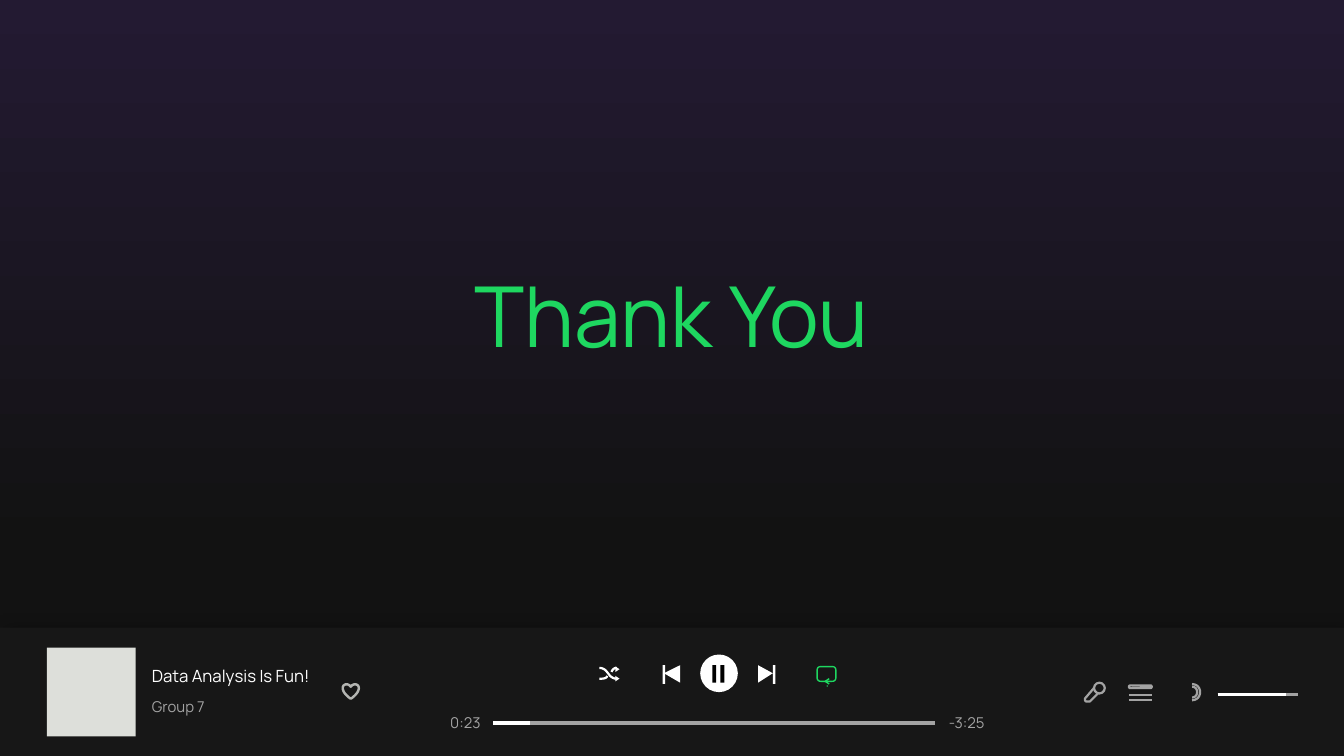
from lxml.etree import SubElement
from pptx import Presentation
from pptx.dml.color import RGBColor
from pptx.enum.shapes import MSO_CONNECTOR, MSO_SHAPE
from pptx.enum.text import MSO_AUTO_SIZE, PP_ALIGN
from pptx.oxml.ns import qn
from pptx.util import Inches, Pt

WHITE, GREY, GREEN, HEART = "FFFFFF", "A3A3A3", "1ED760", "B4B5B2"


def color(value):
    return RGBColor.from_string(value)


def cubic(start, first, second, end, steps=12):
    points = []
    for step in range(steps + 1):
        t = step / steps
        weights = ((1 - t) ** 3, 3 * t * (1 - t) ** 2, 3 * t * t * (1 - t), t ** 3)
        points.append(tuple(
            sum(w * point[axis] for w, point in zip(weights, (start, first, second, end)))
            for axis in (0, 1)
        ))
    return points


class PlayerSlide:
    """Draws styled elements on one slide."""

    font = "Manrope"

    def __init__(self, presentation):
        self.slide = presentation.slides.add_slide(presentation.slide_layouts[6])
        self.shapes = self.slide.shapes

    def background(self, top, bottom, end):
        fill = self.slide.background.fill
        fill.gradient()
        fill.gradient_angle = 270
        for stop, value, position in zip(fill.gradient_stops, (top, bottom), (0, end)):
            stop.color.rgb = color(value)
            stop.position = position

    def text(self, text, left, top, width, height, size=8, fill=GREY, align=PP_ALIGN.LEFT):
        box = self.shapes.add_textbox(Inches(left), Inches(top), Inches(width), Inches(height))
        frame = box.text_frame
        frame.word_wrap = True
        frame.auto_size = MSO_AUTO_SIZE.SHAPE_TO_FIT_TEXT
        frame.margin_left = frame.margin_right = Inches(0.07)
        frame.margin_top = frame.margin_bottom = Inches(0.04)
        paragraph = frame.paragraphs[0]
        paragraph.alignment = align
        run = paragraph.add_run()
        run.text = text
        run.font.name = self.font
        run.font.size = Pt(size)
        run.font.color.rgb = color(fill)

    def paint(self, shape, fill, line, weight):
        shape.shadow.inherit = False
        if fill:
            shape.fill.solid()
            shape.fill.fore_color.rgb = color(fill)
        else:
            shape.fill.background()
        if line:
            shape.line.color.rgb = color(line)
            shape.line.width = Pt(weight)
        else:
            shape.line.fill.background()
        return shape

    def shape(self, kind, left, top, width, height, fill=None, line=None, weight=1.2):
        shape = self.shapes.add_shape(
            kind, Inches(left), Inches(top), Inches(width), Inches(height))
        return self.paint(shape, fill, line, weight)

    def outline(self, points, fill=None, line=None, weight=1.2, close=False):
        first, *rest = [(Inches(x), Inches(y)) for x, y in points]
        builder = self.shapes.build_freeform(*first)
        builder.add_line_segments(rest, close=close)
        return self.paint(builder.convert_to_shape(), fill, line, weight)

    def line(self, left, right, y, stroke=GREY, weight=1.8):
        connector = self.shapes.add_connector(
            MSO_CONNECTOR.STRAIGHT, Inches(left), Inches(y), Inches(right), Inches(y))
        connector.line.color.rgb = color(stroke)
        connector.line.width = Pt(weight)
        SubElement(connector._element.spPr, qn("a:effectLst"))

    def shadow(self, shape, blur, distance, angle, alpha):
        effects = shape._element.spPr.find(qn("a:effectLst"))
        outer = SubElement(effects, qn("a:outerShdw"), blurRad=str(Pt(blur)),
                           dist=str(Pt(distance)), dir=str(angle * 60000), rotWithShape="0")
        black = SubElement(outer, qn("a:srgbClr"), val="000000")
        SubElement(black, qn("a:alpha"), val=str(alpha * 1000))


presentation = Presentation()
presentation.slide_width = Inches(10)
presentation.slide_height = Inches(5.625)
player = PlayerSlide(presentation)
player.background("231A32", "121212", 0.73)
player.text("Thank You", 3.24, 1.92, 3.51, 0.83, size=45, fill=GREEN, align=PP_ALIGN.CENTER)

bar = player.shape(MSO_SHAPE.RECTANGLE, 0, 4.67, 10, 0.96, "171717")
player.shadow(bar, blur=10, distance=3, angle=45, alpha=60)
player.shape(MSO_SHAPE.RECTANGLE, 0.35, 4.82, 0.66, 0.66, "DDDFDA")
player.text("Group 7", 1.06, 5.15, 1.57, 0.21)
player.text("Data Analysis Is Fun!", 1.06, 4.91, 1.57, 0.23, size=9, fill=WHITE)
heart = []
for corners in (
    ((2.61, 5.11), (2.59, 5.08), (2.55, 5.09), (2.55, 5.12)),
    ((2.55, 5.12), (2.55, 5.16), (2.61, 5.2), (2.61, 5.2)),
    ((2.61, 5.2), (2.61, 5.2), (2.67, 5.16), (2.67, 5.12)),
    ((2.67, 5.12), (2.67, 5.09), (2.63, 5.08), (2.61, 5.11)),
):
    heart += cubic(*corners)
player.outline(heart, line=HEART, weight=1.3, close=True)

player.text("0:23", 3.28, 5.27, 0.39, 0.21)
player.text("-3:25", 6.99, 5.27, 0.51, 0.21)
for left, full, played, y in ((3.67, 6.96, 3.94, 5.38), (9.06, 9.66, 9.57, 5.17)):
    player.line(left, full, y)
    player.line(left, played, y, WHITE)

player.shape(MSO_SHAPE.OVAL, 5.21, 4.87, 0.28, 0.28, WHITE)
for left in (5.3, 5.36):
    player.shape(MSO_SHAPE.RECTANGLE, left, 4.95, 0.03, 0.13, "000000")
for tip, base, stop in ((4.94, 5.06, 4.93), (5.75, 5.64, 5.75)):
    player.outline([(tip, 5.01), (base, 4.95), (base, 5.08)], WHITE, close=True)
    player.shape(MSO_SHAPE.RECTANGLE, stop, 4.95, 0.02, 0.14, WHITE)

repeat = [(6.14, 5.07), (6.11, 5.07)]
for corners in (
    ((6.11, 5.07), (6.09, 5.07), (6.08, 5.06), (6.08, 5.04)),
    ((6.08, 4.99), (6.08, 4.97), (6.09, 4.96), (6.11, 4.96)),
    ((6.19, 4.96), (6.21, 4.96), (6.22, 4.97), (6.22, 4.99)),
    ((6.22, 5.04), (6.22, 5.06), (6.21, 5.07), (6.19, 5.07)),
):
    repeat += cubic(*corners)
player.outline(repeat + [(6.14, 5.07)], line=GREEN, weight=0.75)
player.outline([(6.17, 5.05), (6.14, 5.07), (6.17, 5.09)], line=GREEN, weight=0.75)
player.shape(MSO_SHAPE.OVAL, 6.15, 5.1, 0.01, 0.01, GREEN)

for strand in (
    ((4.46, 4.97), (4.53, 4.97), (4.52, 5.05), (4.59, 5.05)),
    ((4.46, 5.05), (4.49, 5.05), (4.51, 5.05), (4.52, 5.03)),
    ((4.55, 5), (4.56, 4.98), (4.57, 4.97), (4.59, 4.97)),
):
    player.outline(cubic(*strand), line=WHITE)
for y in (4.98, 5.05):
    player.outline([(4.58, y - 0.02), (4.61, y), (4.58, y + 0.02)], WHITE, close=True)

handle = [(8.14, 5.12), (8.08, 5.19)]
handle += cubic((8.08, 5.19), (8.07, 5.2), (8.07, 5.21), (8.08, 5.22))
handle += cubic((8.08, 5.22), (8.09, 5.22), (8.1, 5.22), (8.11, 5.22)) + [(8.17, 5.16)]
player.outline(handle, line=GREY)
player.shape(MSO_SHAPE.OVAL, 8.14, 5.08, 0.08, 0.08, line=GREY)

player.shape(MSO_SHAPE.ROUNDED_RECTANGLE, 8.4, 5.1, 0.17, 0.02, line=GREY).adjustments[0] = 0.5
for y in (5.17, 5.21):
    player.line(8.4, 8.57, y, weight=1.2)
for top, bottom, edge in ((5.09, 5.21, 8.95), (5.11, 5.19, 8.92)):
    player.outline(cubic((8.87, top), (edge, top), (edge, bottom), (8.87, bottom)), line=GREY)

presentation.save("out.pptx")
